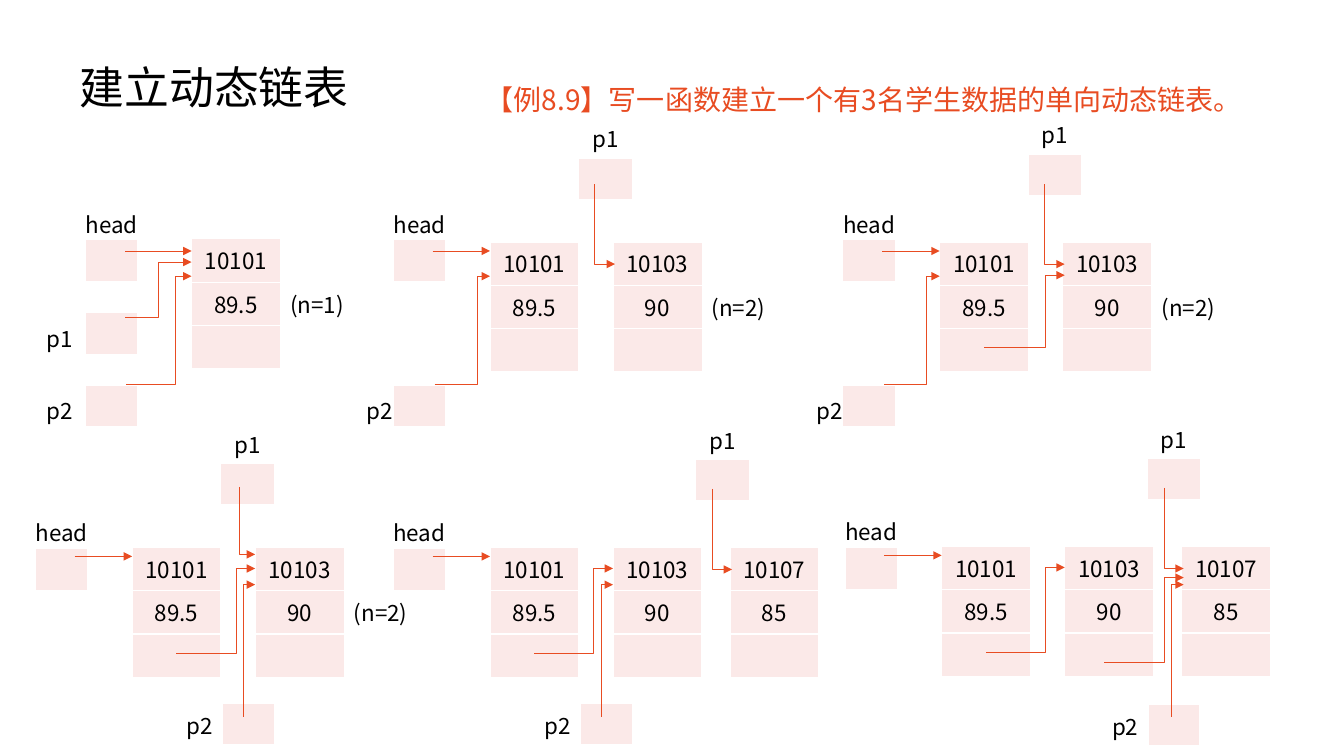
from pptx import Presentation
from pptx.dml.color import RGBColor
from pptx.enum.shapes import MSO_CONNECTOR
from pptx.enum.text import MSO_ANCHOR, PP_ALIGN
from pptx.oxml.ns import qn
from pptx.util import Inches, Pt
from lxml.etree import SubElement

COLORS = {"back": "FFFFFF", "box": "FBE9E8", "accent": "E84C22", "text": "000000"}
FONT = "Noto Sans CJK SC"
# Grid of the diagrams, in inches
NODE_W, NODE_H = 0.88, 0.43
BOX_W, BOX_H, BOX_GAP = 0.52, 0.41, 0.31
NODE_X = [0, 1.22, 2.38]
STUDENTS = [("10101", "89.5"), ("10103", "90"), ("10107", "85")]


def color(name):
    return RGBColor.from_string(COLORS[name])


def write(tf, text, size, name="text", align=PP_ALIGN.LEFT):
    p = tf.paragraphs[0]
    p.alignment = align
    r = p.add_run()
    r.text = text
    r.font.size, r.font.name, r.font.bold = Pt(size), FONT, False
    r.font.color.rgb = color(name)
    SubElement(r.font._element, qn("a:ea"), typeface=FONT)
    return p


def border(cell, visible):
    """Thin separators around a filled cell, no lines around an empty one."""
    tc_pr = cell._tc.get_or_add_tcPr()
    for i, side in enumerate(("a:lnL", "a:lnR", "a:lnT", "a:lnB")):
        ln = tc_pr.makeelement(qn(side), {"w": "12700"})
        if visible:
            fill = SubElement(ln, qn("a:solidFill"))
            SubElement(fill, qn("a:srgbClr"), val=COLORS["back"])
        else:
            SubElement(ln, qn("a:noFill"))
        tc_pr.insert(i, ln)


def table(s, x, y, cols, rows, texts, filled, align=PP_ALIGN.CENTER,
          anchor=MSO_ANCHOR.TOP, tight=False):
    """texts maps (row, column) to wording; filled holds the shaded cells."""
    t = s.shapes.add_table(len(rows), len(cols), Inches(x), Inches(y),
                           Inches(sum(cols)), Inches(sum(rows))).table
    t.first_row = t.horz_banding = False
    for column, width in zip(t.columns, cols):
        column.width = Inches(width)
    for i, height in enumerate(rows):
        t.rows[i].height = Inches(height)
        for j in range(len(cols)):
            cell, text = t.cell(i, j), texts.get((i, j))
            cell.vertical_anchor = anchor
            if tight:
                cell.margin_left = cell.margin_right = 0
                cell.margin_top = cell.margin_bottom = 0
            if (i, j) in filled:
                cell.fill.solid()
                cell.fill.fore_color.rgb = color("box")
            else:
                cell.fill.background()
            border(cell, (i, j) in filled)
            if text:
                side = PP_ALIGN.LEFT if text.startswith("(") else align
                write(cell.text_frame, text, 16, align=side)


def style_arrow(shape):
    shape.line.color.rgb, shape.line.width = color("accent"), Pt(0.5)
    SubElement(shape.line._get_or_add_ln(), qn("a:tailEnd"), type="triangle")


def connector(s, kind, start, end):
    c = s.shapes.add_connector(kind, *map(Inches, start + end))
    style_arrow(c)
    SubElement(c._element.spPr, qn("a:effectLst"))


def bent_arrow(s, points):
    points = [(Inches(x), Inches(y)) for x, y in points]
    builder = s.shapes.build_freeform(*points[0], scale=1.0)
    builder.add_line_segments(points[1:], close=False)
    sp = builder.convert_to_shape()
    sp.fill.background()
    sp.shadow.inherit = False
    style_arrow(sp)


def node(s, x, y, student, count):
    """Three-field list node, with the node count beside it if given."""
    texts = {(i, 0): value for i, value in enumerate(student)}
    if count:
        texts[1, 1] = count
    table(s, x, y, [NODE_W] * (2 if count else 1), [NODE_H] * 3, texts,
          {(i, 0) for i in range(3)})


def pointer_column(s, x, y, labels):
    """Head box with the boxes of the named pointers below it."""
    box = 1 if labels else 0
    texts, filled = {(0, box): "head"}, {(1, box)}
    for row, label in labels.items():
        texts[row, 0] = label
        filled.add((row, box))
    align = PP_ALIGN.RIGHT if len(labels) == 1 else PP_ALIGN.CENTER
    rows = [BOX_H, BOX_H, BOX_GAP, BOX_H, BOX_GAP, BOX_H]
    table(s, x, y, [BOX_W] * (box + 1), rows, texts, filled,
          align, MSO_ANCHOR.BOTTOM, True)


def stage(s, x, y, nodes, head, labels, count=None, p1=None, p2=None,
          head_arrow=(-0.57, 0.09), arrows=()):
    """One step of building the list; (x, y) is the corner of its first node."""
    pointer_column(s, x + head[0], y + head[1], labels)
    for i in range(nodes):
        node(s, x + NODE_X[i], y, STUDENTS[i], count if i == nodes - 1 else None)
    if p1:
        table(s, x + p1[0], y + p1[1], [0.53], [BOX_H] * 2, {(0, 0): "p1"},
              {(1, 0)}, anchor=MSO_ANCHOR.BOTTOM)
    if p2:
        table(s, x + p2[0], y + p2[1], [0.55, 0.51], [BOX_H], {(0, 0): "p2"},
              {(0, 1)}, PP_ALIGN.RIGHT)
    dx, dy = head_arrow
    connector(s, MSO_CONNECTOR.STRAIGHT, (x + dx, y + dy), (x, y + dy))
    for points in arrows:
        bent_arrow(s, [(x + px, y + py) for px, py in points])


def down(x, top, y, end):
    """Route that falls or rises, then turns right."""
    return [(x, top), (x, y), (end, y)]


def step(x, start, turn, y, end):
    """Route that goes right, up, then right again."""
    return [(x, start), (turn, start), (turn, y), (end, y)]


def heading(s, x, y, w, h):
    title = s.shapes.title
    title.left, title.top, title.width, title.height = map(Inches, (x, y, w, h))
    title.text_frame.vertical_anchor = MSO_ANCHOR.MIDDLE
    write(title.text_frame, "建立动态链表", 32).line_spacing = 0.9
    # Example statement to the right of the title
    tf = s.shapes.add_textbox(Inches(x + 4.03), Inches(y + 0.33),
                              Inches(7.79), Inches(0.6)).text_frame
    tf.word_wrap = True
    p = write(tf, "【例8.9】写一函数建立一个有3名学生数据的单向动态链表。", 20, "accent")
    p.line_spacing, p.space_before = 1.2, Pt(10)


prs = Presentation()
prs.slide_width, prs.slide_height = Inches(13.33), Inches(7.5)
s = prs.slides.add_slide(prs.slide_layouts[5])
s.background.fill.solid()
s.background.fill.fore_color.rgb = color("back")
heading(s, 0.69, 0.37, 11.5, 1.04)

# Upper row: first node, then the second one is linked
p2_low = step(-0.55, 1.41, -0.13, 0.34, 0)
p1_second = down(1.04, -0.57, 0.22, 1.24)
upper = dict(nodes=2, head=(-1.48, -0.43), labels={5: "p2"}, count="(n=2)")
stage(s, 1.9, 2.37, 1, (-1.57, -0.4), {3: "p1", 5: "p2"}, "(n=1)",
      head_arrow=(-0.66, 0.12), arrows=[step(-0.65, 1.44, -0.16, 0.37, 0)])
connector(s, MSO_CONNECTOR.ELBOW, (1.24, 3.15), (1.9, 2.6))
stage(s, 4.86, 2.4, p1=(0.88, -1.24), arrows=[p2_low, p1_second], **upper)
stage(s, 9.32, 2.4, p1=(0.88, -1.28), **upper,
      arrows=[p2_low, p1_second, step(0.44, 1.05, 1.05, 0.33, 1.24)])

# Lower row: p2 moves on and the third node is linked
link = step(0.44, 1.05, 1.03, 0.21, 1.22)
p2_second = down(1.1, 1.68, 0.37, 1.22)
p1_third = down(2.21, -0.58, 0.22, 2.4)
lower = dict(head=(-0.96, -0.4), labels={})
stage(s, 1.31, 5.43, 2, count="(n=2)", p1=(0.88, -1.24), p2=(0.35, 1.55), **lower,
      arrows=[link, p2_second, down(1.06, -0.6, 0.07, 1.22)])
stage(s, 4.86, 5.43, 3, p1=(2.04, -1.28), p2=(0.35, 1.55), **lower,
      arrows=[link, p2_second, p1_third])
stage(s, 9.34, 5.42, 3, p1=(2.04, -1.28), p2=(1.5, 1.57), **lower,
      arrows=[link, p1_third, step(1.61, 1.15, 2.21, 0.31, 2.4),
              down(2.28, 1.69, 0.38, 2.4)])

prs.save("out.pptx")
